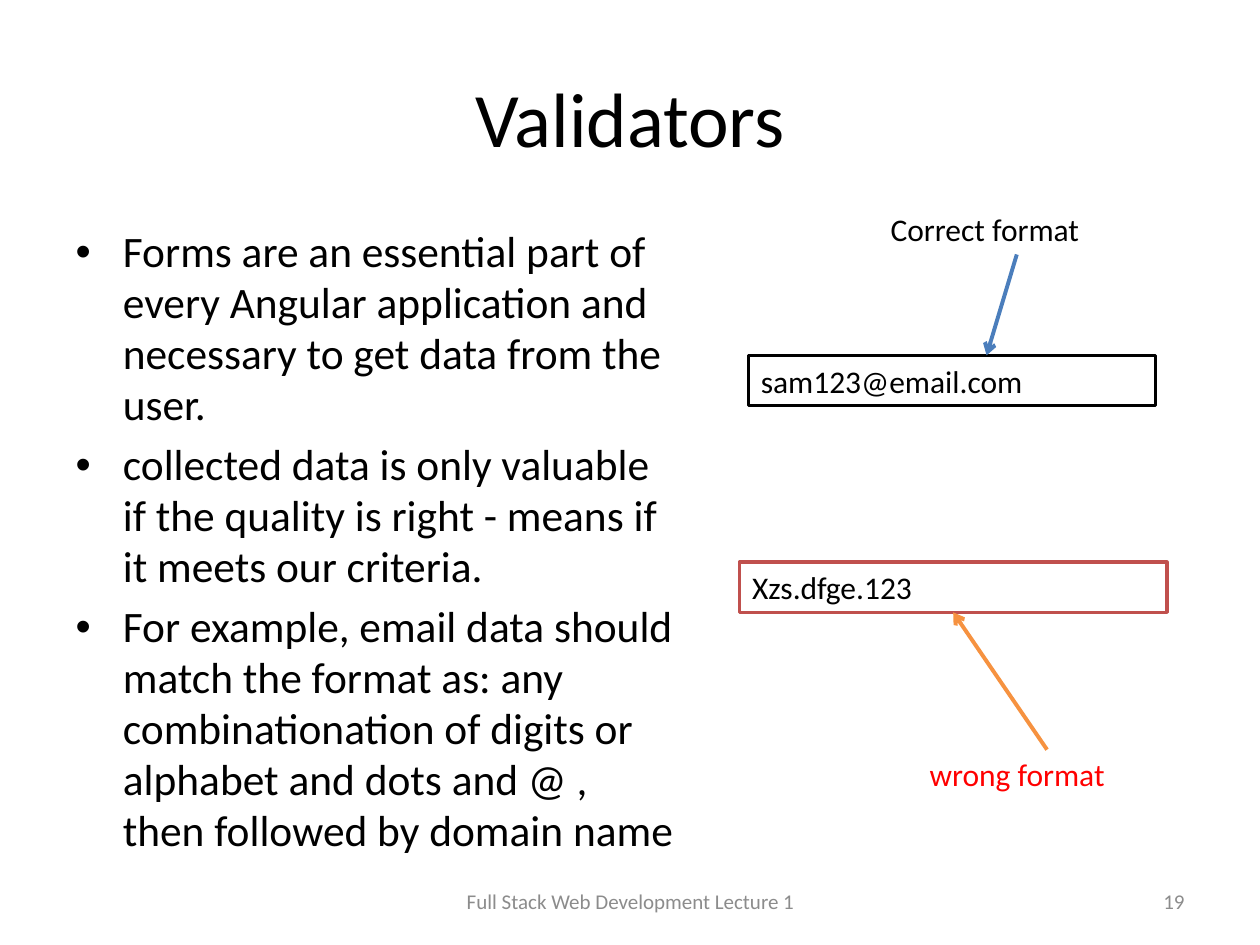
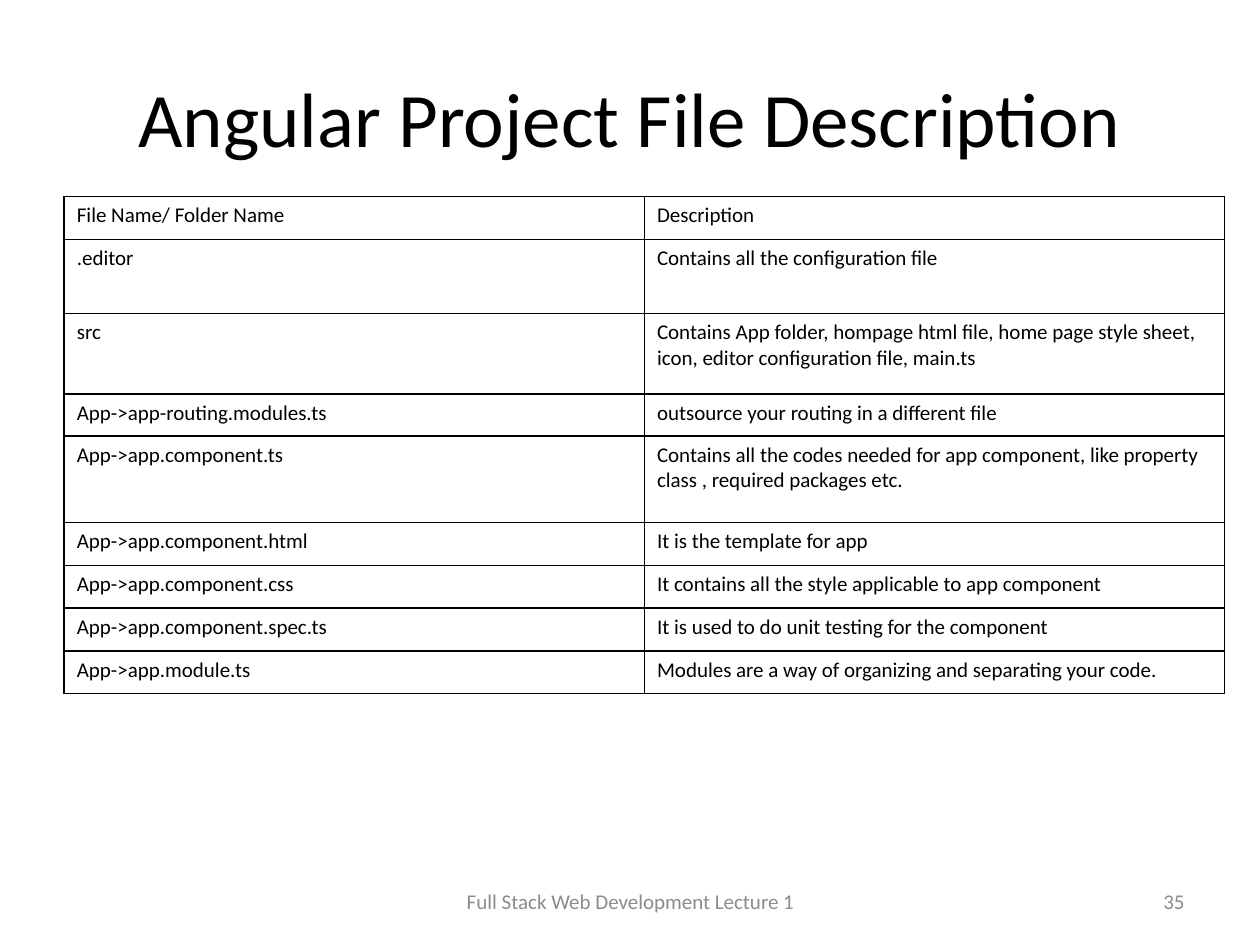
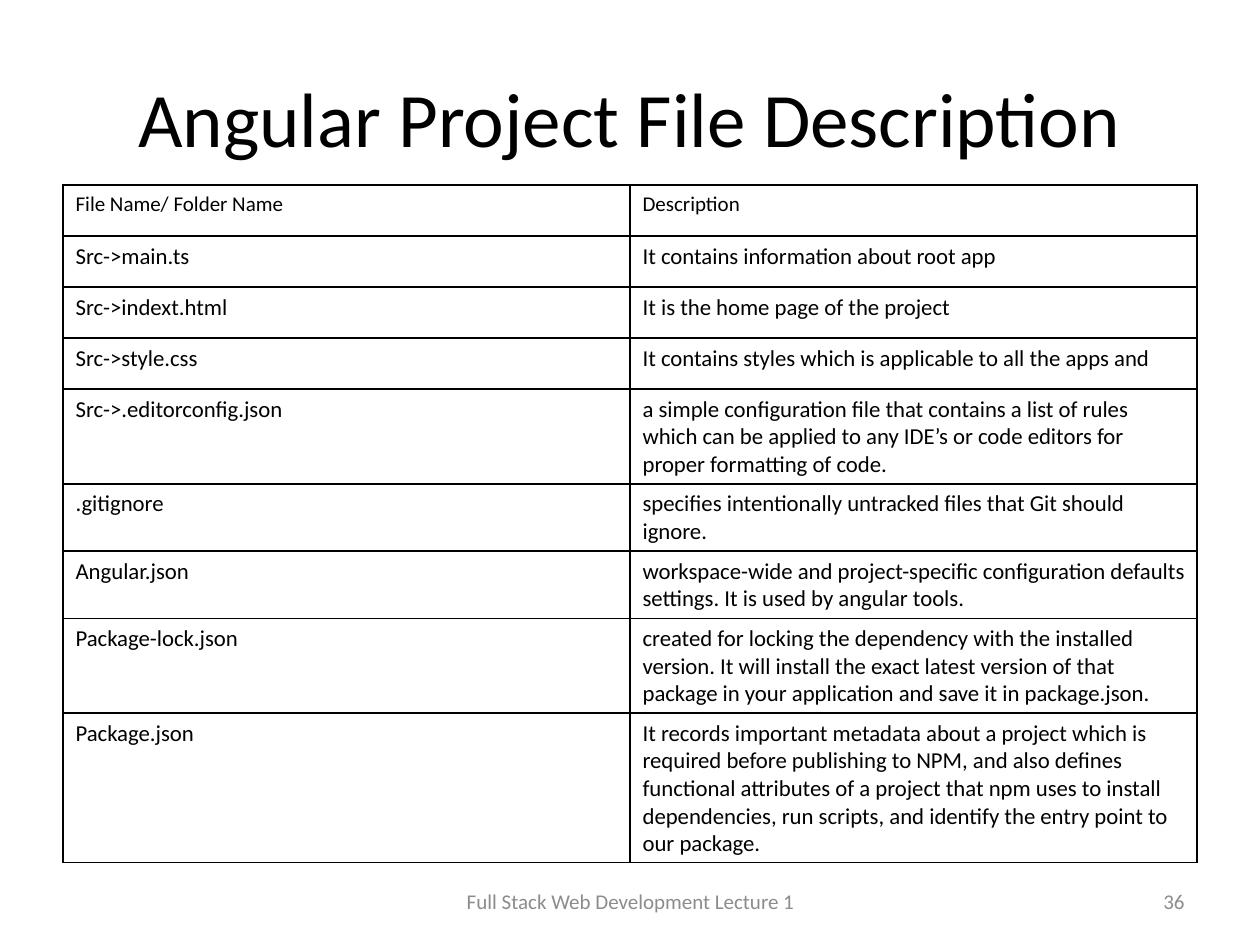
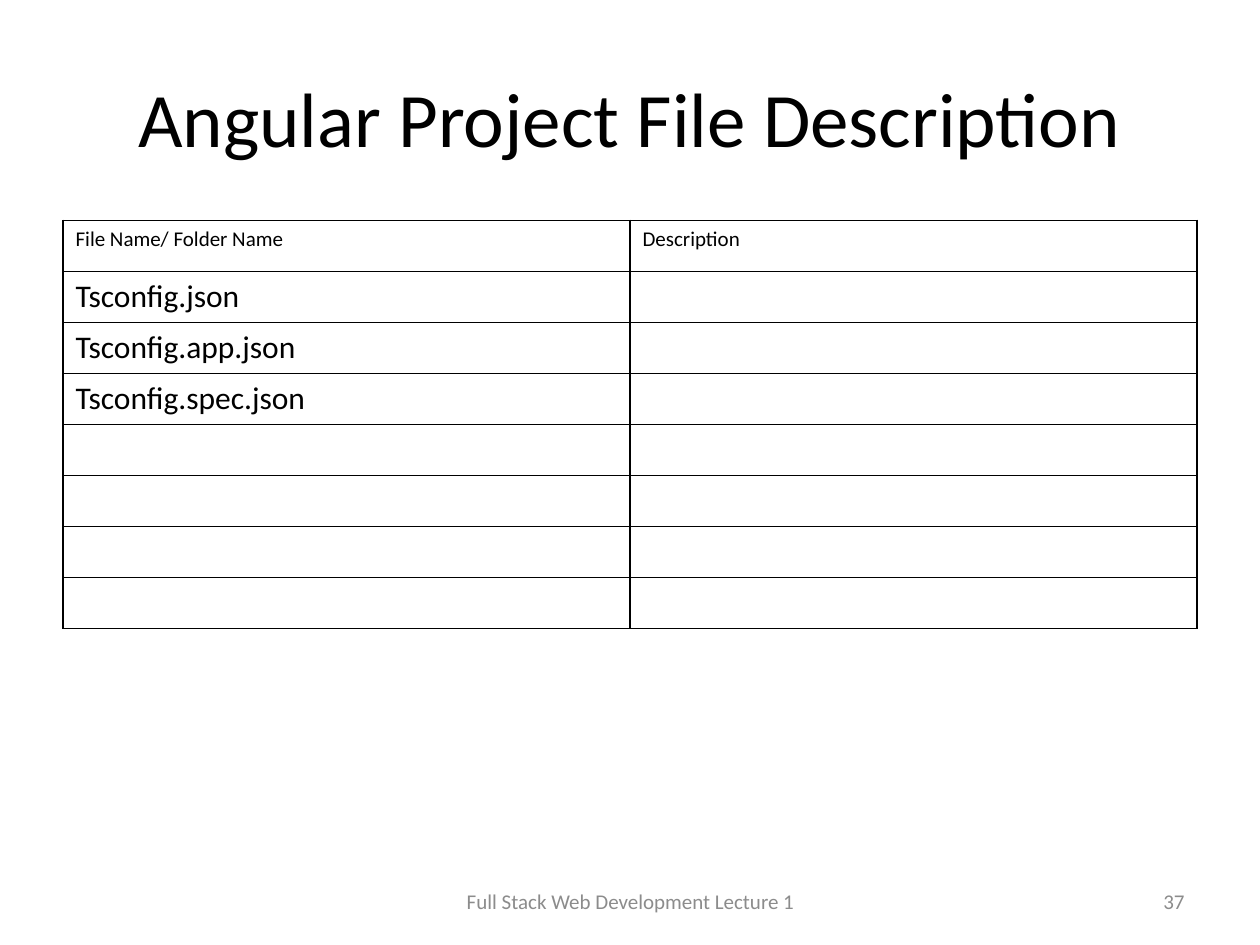
from dataclasses import dataclass

from lxml import etree
from pptx import Presentation, util as u
from pptx.dml.color import RGBColor
from pptx.enum import shapes, text
from pptx.oxml import ns


@dataclass(frozen=True)
class Theme:
    font: str = "Calibri"
    ink: str = "000000"
    paper: str = "FFFFFF"
    gray: str = "8C8C8C"
    red: str = "FF0000"
    brick: str = "C0504D"
    blue: str = "4B7EBC"
    amber: str = "F69240"
    title: float = 44
    body: float = 24.8
    label: float = 18
    cell: float = 13
    small: float = 12
    edge: float = 2
    arrow: float = 2.25
    grid: float = 1


T = Theme()
WIDE, HIGH = u.Inches(10), u.Inches(7.5)
LIST, BARE = 1, 5  # template layouts
FOOT = "Full Stack Web Development Lecture 1"
HEAD = ("File Name/ Folder Name", "Description")

POINTS = [
    "Forms are an essential part of every Angular application and necessary "
    "to get data from the user.",
    "collected data is only valuable if the quality is right - means if it "
    "meets our criteria.",
    "For example, email data should match the format as: any combinationation "
    "of digits or alphabet and dots and @ , then followed by domain name",
]

APP_FILES = [
    (".editor", "Contains all the configuration file"),
    ("src", "Contains App folder, hompage html file, home page style sheet, "
            "icon, editor configuration file, main.ts"),
    ("App->app-routing.modules.ts", "outsource your routing in a different file"),
    ("App->app.component.ts", "Contains all the codes needed for app component, "
                              "like property class , required packages etc."),
    ("App->app.component.html", "It is the template for app"),
    ("App->app.component.css",
     "It contains all the style applicable to app component"),
    ("App->app.component.spec.ts",
     "It is used to do unit testing for the component"),
    ("App->app.module.ts",
     "Modules are a way of organizing and separating your code."),
]
APP_ROWS = [4.53, 7.87, 8.53, 4.4, 9.2] + [4.53] * 4

ROOT_FILES = [
    ("Src->main.ts", "It contains information about root app"),
    ("Src->indext.html", "It is the home page of the project"),
    ("Src->style.css",
     "It contains styles which is applicable to all the apps and"),
    ("Src->.editorconfig.json",
     "a simple configuration file that contains a list of rules which can be "
     "applied to any IDE’s or code editors for proper formatting of code."),
    (".gitignore",
     "specifies intentionally untracked files that Git should ignore."),
    ("Angular.json", "workspace-wide and project-specific configuration "
                     "defaults settings. It is used by angular tools."),
    ("Package-lock.json",
     "created for locking the dependency with the installed version. It will "
     "install the exact latest version of that package in your application "
     "and save it in package.json."),
    ("Package.json",
     "It records important metadata about a project which is required before "
     "publishing to NPM, and also defines functional attributes of a project "
     "that npm uses to install dependencies, run scripts, and identify the "
     "entry point to our package."),
]
TS_FILES = [("Tsconfig.json", ""), ("Tsconfig.app.json", ""),
            ("Tsconfig.spec.json", "")] + [("", "")] * 4
EVEN = 5.4  # row height of the evenly spaced tables


# Lengths are percent of the slide's width or height
def across(share):
    return round(WIDE * share / 100)


def down(share):
    return round(HIGH * share / 100)


def area(x, y, w, h):
    return across(x), down(y), across(w), down(h)


def color(code):
    return RGBColor.from_string(code)


def style(para, size, ink=T.ink, align=None):
    para.font.name, para.font.size = T.font, u.Pt(size)
    para.font.color.rgb = color(ink)
    para.alignment = align


def label(slide, words, place, size=T.label, ink=T.ink, align=None,
          anchor=text.MSO_ANCHOR.TOP):
    frame = slide.shapes.add_textbox(*area(*place)).text_frame
    frame.word_wrap = True
    frame.vertical_anchor = anchor
    frame.text = words
    style(frame.paragraphs[0], size, ink, align)


def page(deck, layout, title, number):
    """Add a slide with the shared title, footer and page number."""
    slide = deck.slides.add_slide(deck.slide_layouts[layout])
    head = slide.shapes.title
    head.left, head.top, head.width, head.height = area(5, 4, 90, 16.67)
    head.text_frame.text = title
    style(head.text_frame.paragraphs[0], T.title, align=text.PP_ALIGN.CENTER)
    mid = text.MSO_ANCHOR.MIDDLE
    label(slide, FOOT, (34.2, 92.67, 31.7, 5.33), T.small, T.gray,
          text.PP_ALIGN.CENTER, mid)
    label(slide, str(number), (71.7, 92.67, 23.3, 5.33), T.small, T.gray,
          text.PP_ALIGN.RIGHT, mid)
    return slide


def bullets(slide, lines, place):
    body = slide.placeholders[1]
    body.left, body.top, body.width, body.height = area(*place)
    frame = body.text_frame
    frame.text = "\n".join(lines)
    frame.auto_size = text.MSO_AUTO_SIZE.NONE
    for para in frame.paragraphs:
        style(para, T.body)
        para.line_spacing = 0.98


def field(slide, words, place, edge):
    """Draw an input field with sample text."""
    box = slide.shapes.add_shape(shapes.MSO_SHAPE.RECTANGLE, *area(*place))
    box.shadow.inherit = False
    box.fill.solid()
    box.fill.fore_color.rgb = color(T.paper)
    box.line.color.rgb, box.line.width = color(edge), u.Pt(T.edge)
    box.text_frame.word_wrap = True
    box.text_frame.text = words
    style(box.text_frame.paragraphs[0], T.label, align=text.PP_ALIGN.LEFT)
    return box


def arrow(slide, start, end, ink):
    link = slide.shapes.add_connector(
        shapes.MSO_CONNECTOR.STRAIGHT, across(start[0]), down(start[1]),
        across(end[0]), down(end[1]))
    link.line.color.rgb, link.line.width = color(ink), u.Pt(T.arrow)
    etree.SubElement(link.line._get_or_add_ln(), ns.qn("a:tailEnd"), type="arrow")
    etree.SubElement(link._element.spPr, ns.qn("a:effectLst"))
    return link


def border(cell):
    props = cell._tc.get_or_add_tcPr()
    for side in ("lnL", "lnR", "lnT", "lnB"):
        line = etree.SubElement(props, ns.qn("a:" + side), w=str(u.Pt(T.grid)))
        fill = etree.SubElement(line, ns.qn("a:solidFill"))
        etree.SubElement(fill, ns.qn("a:srgbClr"), val=T.ink)


def table(slide, files, rows, place, size):
    """Draw a two-column file table; place is left, top and width."""
    data = [HEAD] + files
    grid = slide.shapes.add_table(
        len(data), len(HEAD), *area(*place, sum(rows))).table
    grid.first_row = grid.horz_banding = False
    for r, (entry, high) in enumerate(zip(data, rows)):
        grid.rows[r].height = down(high)
        for c, words in enumerate(entry):
            cell = grid.cell(r, c)
            border(cell)
            cell.fill.background()
            cell.text = words
            style(cell.text_frame.paragraphs[0], size if r else T.small)


def forms(deck):
    slide = page(deck, LIST, "Validators", 19)
    bullets(slide, POINTS, (5, 23.33, 49.7, 66))
    # Valid and invalid input
    field(slide, "sam123@email.com", (59.4, 37.6, 32.3, 5.33), T.ink)
    wrong = field(slide, "Xzs.dfge.123", (58.7, 59.47, 33.9, 5.33), T.brick)
    arrow(slide, (80.7, 26.93), (78.3, 37.6), T.blue)
    label(slide, "Correct format", (69.7, 21.6, 17.3, 5.33))
    arrow(slide, (83.1, 79.33), (75.6, 64.8), T.amber).end_connect(wrong, 2)
    label(slide, "wrong format", (72.8, 79.2, 17.3, 5.33), ink=T.red)


def main():
    deck = Presentation()
    deck.slide_width, deck.slide_height = WIDE, HIGH
    forms(deck)
    # File tables
    tables = [
        (35, APP_FILES, APP_ROWS, (5.1, 20.8, 92.1), T.small),
        (36, ROOT_FILES, [EVEN] * 9, (5, 19.6, 90), T.cell),
        (37, TS_FILES, [EVEN] * 8, (5, 23.33, 90), T.label),
    ]
    for number, *parts in tables:
        slide = page(deck, BARE, "Angular Project File Description", number)
        table(slide, *parts)
    deck.save("out.pptx")


if __name__ == "__main__":
    main()
